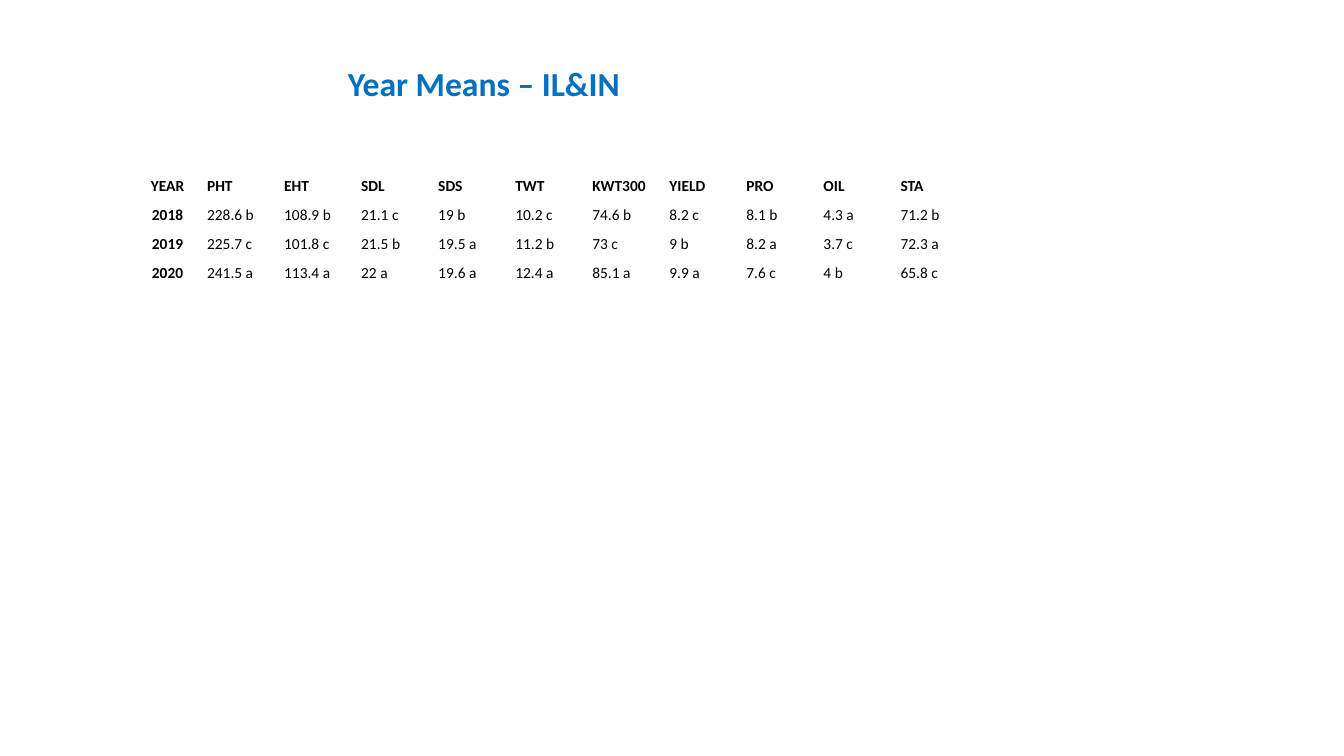
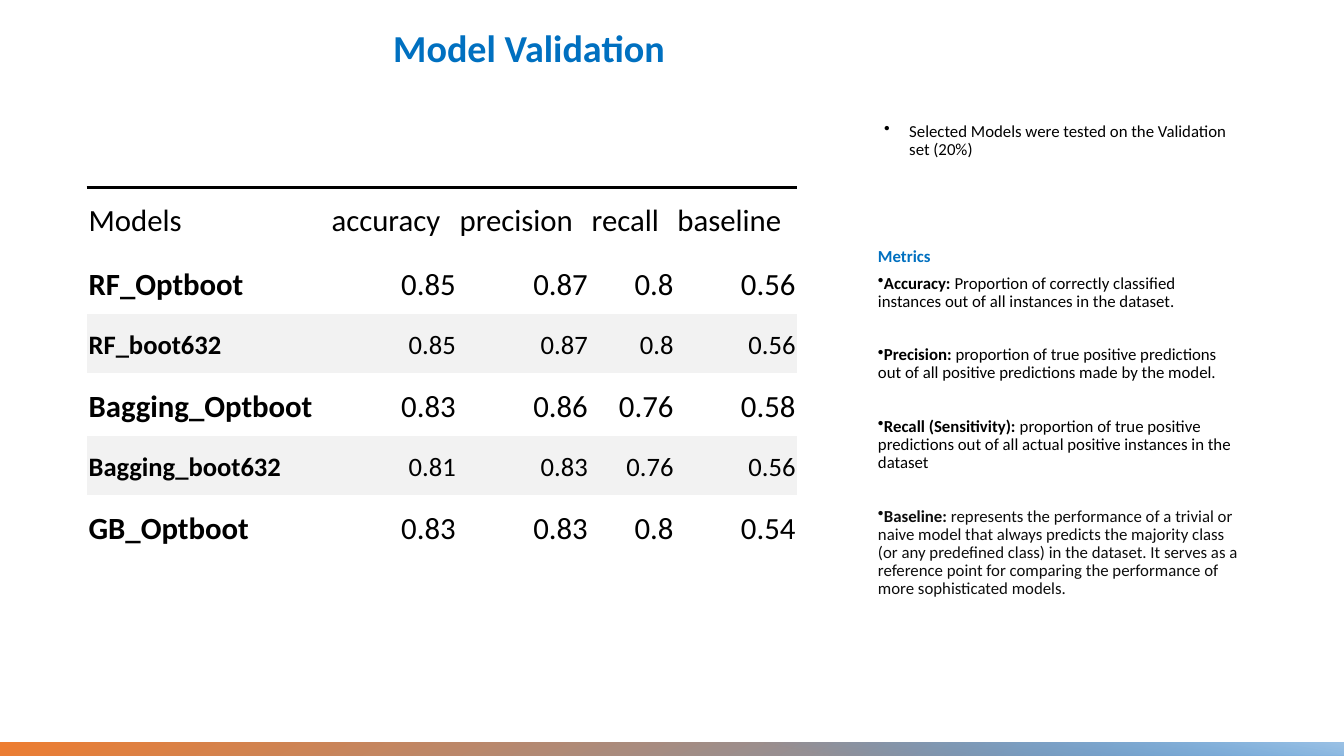
"""Build two slides on year means and model validation."""
from dataclasses import dataclass
from typing import Optional

from lxml import etree
from pptx import Presentation
from pptx.dml.color import RGBColor
from pptx.enum import shapes, text
from pptx.oxml import ns
from pptx.slide import Slide
from pptx.util import Inches, Pt

FONT = "Calibri"
BLACK = RGBColor(0x00, 0x00, 0x00)
SOFT_BLACK = RGBColor(0x0D, 0x0D, 0x0D)
TITLE_BLUE = RGBColor(0x00, 0x70, 0xC0)
STRIPE_GREY = RGBColor(0xF2, 0xF2, 0xF2)
BAND_BLUE = RGBColor(0x5B, 0x9B, 0xD5)
BAND_PALE = RGBColor(0x9D, 0xC3, 0xE6)
BAND_ORANGE = RGBColor(0xED, 0x7D, 0x31)
NO_TABLE_STYLE = "{2D5ABB26-0587-4C30-8999-92F81FD0307C}"
LEFT, CENTER, RIGHT = text.PP_ALIGN.LEFT, text.PP_ALIGN.CENTER, text.PP_ALIGN.RIGHT


@dataclass(frozen=True)
class Box:
    left: float
    top: float
    width: float
    height: float

    def lengths(self) -> tuple:
        return tuple(Inches(n) for n in (self.left, self.top, self.width, self.height))


@dataclass(frozen=True)
class TableLook:
    widths: list[float]
    heights: list[float]
    margins: tuple[float, float, float, float]
    size: float
    stripe_size: float
    header_bold: bool
    label_align: text.PP_ALIGN
    value_align: text.PP_ALIGN
    striped: bool = False
    top_rule: bool = False


@dataclass(frozen=True)
class Band:
    box: Box
    rotation: int
    angle: int
    stops: tuple
    flipped: bool = False
    fades_in: bool = False


@dataclass(frozen=True)
class Note:
    body: str
    lead: str = ""
    color: RGBColor = BLACK
    bold: bool = False
    bullet: bool = True
    indent: float = 0
    gap: float = 25.2


YEAR_ROWS = [
    ["YEAR", "PHT", "EHT", "SDL", "SDS", "TWT", "KWT300", "YIELD", "PRO", "OIL", "STA"],
    ["2018", "228.6 b", "108.9 b", "21.1 c", "19 b", "10.2 c", "74.6 b", "8.2 c", "8.1 b", "4.3 a", "71.2 b"],
    ["2019", "225.7 c", "101.8 c", "21.5 b", "19.5 a", "11.2 b", "73 c", "9 b", "8.2 a", "3.7 c", "72.3 a"],
    ["2020", "241.5 a", "113.4 a", "22 a", "19.6 a", "12.4 a", "85.1 a", "9.9 a", "7.6 c", "4 b", "65.8 c"],
]
YEAR_LOOK = TableLook([8.41 / 11] * 11, [0.29] * 4, (0.01, 0.01, 0.01, 0), 11, 11, True, CENTER, LEFT)

MODEL_ROWS = [
    ["Models", "accuracy", "precision", "recall", "baseline"],
    ["RF_Optboot", "0.85", "0.87", "0.8", "0.56"],
    ["RF_boot632", "0.85", "0.87", "0.8", "0.56"],
    ["Bagging_Optboot", "0.83", "0.86", "0.76", "0.58"],
    ["Bagging_boot632", "0.81", "0.83", "0.76", "0.56"],
    ["GB_Optboot", "0.83", "0.83", "0.8", "0.54"],
]
MODEL_LOOK = TableLook(
    [2.41, 1.27, 1.31, 0.85, 1.21], [0.63, 0.63, 0.58, 0.63, 0.58, 0.63],
    (0.02, 0.11, 0.02, 0.11), 22, 19, False, LEFT, RIGHT, striped=True, top_rule=True)

NOTES = [
    Note("Selected Models were tested on the Validation set (20%)", indent=0.31, gap=63.6),
    Note("Metrics", color=TITLE_BLUE, bold=True, bullet=False, gap=6),
    Note(" Proportion of correctly classified instances out of all instances in the dataset.", "Accuracy:"),
    Note(" proportion of true positive predictions out of all positive predictions made by the model.",
         "Precision:"),
    Note(" proportion of true positive predictions out of all actual positive instances in the dataset",
         "Recall (Sensitivity):"),
    Note("represents the performance of a trivial or naive model that always predicts the majority class "
         "(or any predefined class) in the dataset. It serves as a reference point for comparing the "
         "performance of more sophisticated models.", "Baseline: ", SOFT_BLACK, gap=6),
]

BANDS = [
    Band(Box(6.6, 0.76, 0.13, 13.35), 90, 30, ((0, BAND_BLUE), (1, BAND_ORANGE)), flipped=True),
    Band(Box(10.04, 4.19, 0.13, 6.48), 270, 10, ((0.19, BAND_BLUE), (1, BAND_PALE)), fades_in=True),
]


def set_font(target, size: float, color: RGBColor, bold: Optional[bool] = None) -> None:
    """Apply the deck's font to a paragraph."""
    target.font.name = FONT
    target.font.size = Pt(size)
    target.font.color.rgb = color
    target.font.bold = bold


def add_page(deck, title: str, box: Box, size: float, anchor: text.MSO_ANCHOR) -> Slide:
    """Add a title-only slide and format its title."""
    page = deck.slides.add_slide(deck.slide_layouts[5])
    holder = page.shapes.title
    holder.left, holder.top, holder.width, holder.height = box.lengths()
    frame = holder.text_frame
    frame.text = title
    frame.word_wrap = True
    frame.auto_size = text.MSO_AUTO_SIZE.NONE
    frame.vertical_anchor = anchor
    para = frame.paragraphs[0]
    para.alignment = LEFT
    set_font(para, size, TITLE_BLUE, True)
    return page


def add_top_rule(cell) -> None:
    """Draw a black line along the top of a cell."""
    properties = cell._tc.get_or_add_tcPr()
    line = etree.Element(ns.qn("a:lnT"), w=str(Pt(2.25)))
    fill = etree.SubElement(line, ns.qn("a:solidFill"))
    etree.SubElement(fill, ns.qn("a:srgbClr"), val=str(BLACK))
    properties.insert(0, line)


def add_grid(page: Slide, rows: list[list[str]], box: Box, look: TableLook) -> None:
    """Add a table with the given look."""
    frame = page.shapes.add_table(len(rows), len(rows[0]), *box.lengths())
    table = frame.table
    table.first_row = table.horz_banding = False
    next(frame._element.iter(ns.qn("a:tableStyleId"))).text = NO_TABLE_STYLE
    for column, width in zip(table.columns, look.widths):
        column.width = Inches(width)
    for row, height in zip(table.rows, look.heights):
        row.height = Inches(height)
    for r, values in enumerate(rows):
        stripe = look.striped and r > 0 and r % 2 == 0
        for c, value in enumerate(values):
            cell = table.cell(r, c)
            cell.text = value
            cell.vertical_anchor = text.MSO_ANCHOR.BOTTOM
            (cell.margin_left, cell.margin_top,
             cell.margin_right, cell.margin_bottom) = (Inches(n) for n in look.margins)
            para = cell.text_frame.paragraphs[0]
            if c == 0:
                para.alignment = look.label_align
            else:
                para.alignment = look.value_align if r else LEFT
            bold = look.header_bold if r == 0 else c == 0
            set_font(para, look.stripe_size if stripe else look.size, BLACK, bold)
            if stripe:
                cell.fill.solid()
                cell.fill.fore_color.rgb = STRIPE_GREY
            else:
                cell.fill.background()
            if look.top_rule and r == 0:
                add_top_rule(cell)


def add_notes(page: Slide, notes: list[Note], box: Box) -> None:
    """Add the explanatory text beside the table."""
    frame = page.shapes.add_textbox(*box.lengths()).text_frame
    frame.word_wrap = True
    for index, note in enumerate(notes):
        para = frame.add_paragraph() if index else frame.paragraphs[0]
        para.line_spacing = 0.9
        para.space_after = Pt(note.gap)
        set_font(para, 12, note.color, note.bold)
        if note.lead:
            span = para.add_run()
            span.text = note.lead
            span.font.bold = True
        para.add_run().text = note.body
        if note.bullet:
            properties = para._p.get_or_add_pPr()
            properties.set("marL", str(Inches(note.indent)))
            properties.set("indent", str(Inches(-0.25)))
            bullet = etree.Element(ns.qn("a:buChar"), char="•")
            properties.find(ns.qn("a:defRPr")).addprevious(bullet)


def add_band(page: Slide, band: Band) -> None:
    """Add a gradient strip along the foot of the slide."""
    strip = page.shapes.add_shape(shapes.MSO_SHAPE.RECTANGLE, *band.box.lengths())
    strip.shadow.inherit = False
    strip.line.fill.background()
    strip.rotation = band.rotation
    if band.flipped:
        strip._element.spPr.find(ns.qn("a:xfrm")).set("flipH", "1")
    strip.fill.gradient()
    strip.fill.gradient_angle = 360 - band.angle
    for stop, (position, color) in zip(strip.fill.gradient_stops, band.stops):
        stop.position = position
        stop.color.rgb = color
    if band.fades_in:
        first_color = next(strip._element.spPr.iter(ns.qn("a:srgbClr")))
        etree.SubElement(first_color, ns.qn("a:alpha"), val="0")


def main() -> None:
    """Build and save the deck."""
    deck = Presentation()
    deck.slide_width, deck.slide_height = Inches(13.33), Inches(7.5)

    page = add_page(deck, "Year Means – IL&IN", Box(3.35, 0.57, 5.09, 0.5), 24, text.MSO_ANCHOR.TOP)
    add_grid(page, YEAR_ROWS, Box(1.28, 1.65, 8.41, 1.16), YEAR_LOOK)

    page = add_page(deck, "Model Validation", Box(3.8, 0.29, 4.12, 0.44), 27.2, text.MSO_ANCHOR.BOTTOM)
    title = page.shapes.title.text_frame.paragraphs[0]
    title.line_spacing = 0.7
    title.space_after = Pt(6)
    add_notes(page, NOTES, Box(8.61, 1.17, 3.77, 4.97))
    for band in BANDS:
        add_band(page, band)
    add_grid(page, MODEL_ROWS, Box(0.86, 1.86, 7.05, 3.71), MODEL_LOOK)

    deck.save("out.pptx")


if __name__ == "__main__":
    main()
